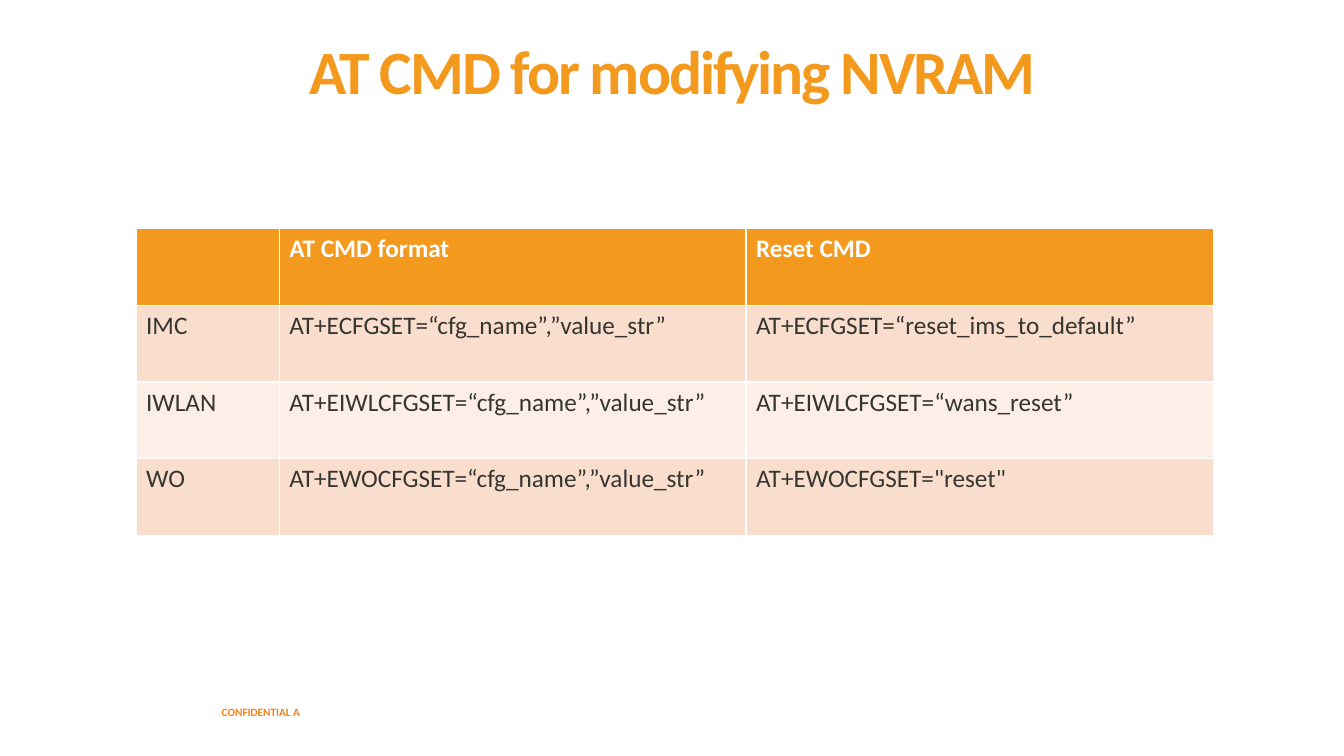
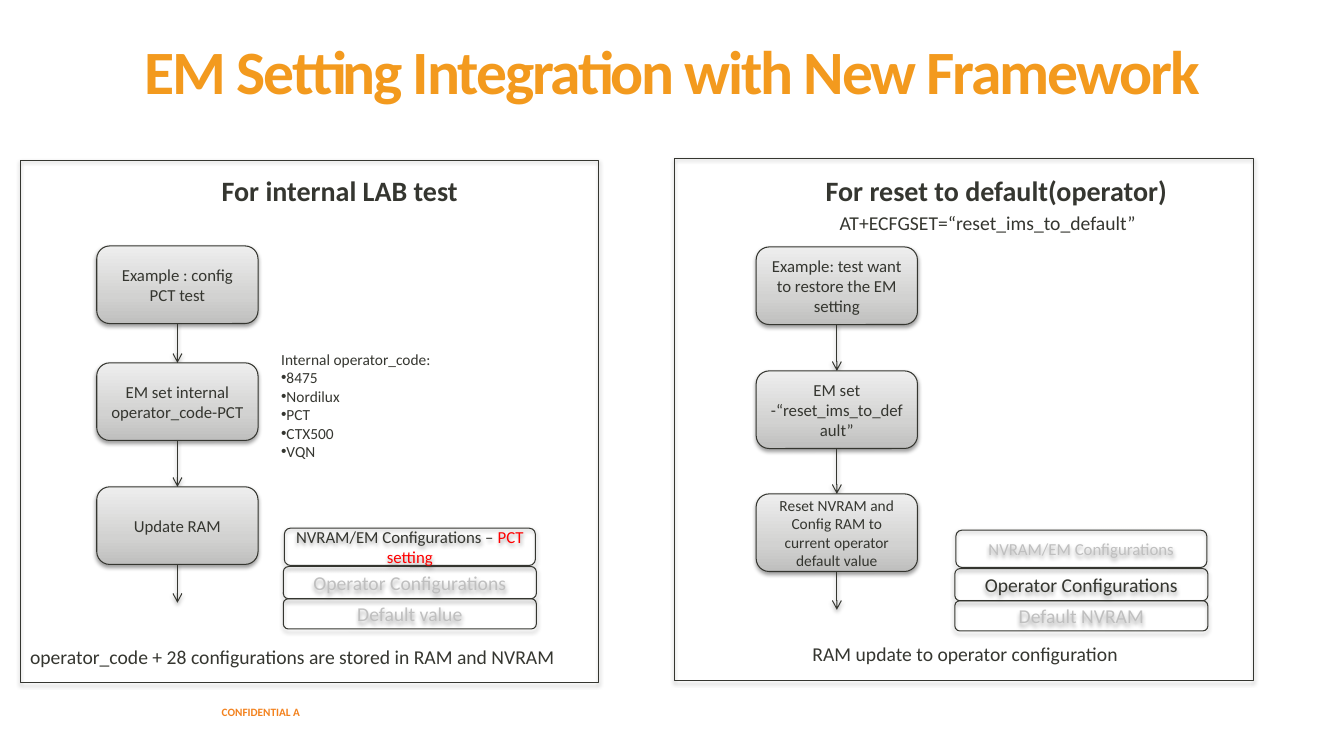
from dataclasses import dataclass

from lxml.etree import SubElement
from pptx import Presentation
from pptx.dml.color import RGBColor
from pptx.enum.shapes import MSO_CONNECTOR, MSO_SHAPE
from pptx.enum.text import MSO_ANCHOR, MSO_AUTO_SIZE, PP_ALIGN
from pptx.oxml.ns import qn
from pptx.util import Inches, Pt


@dataclass(frozen=True)
class Theme:
    font: str = "Calibri"
    title: str = "F39A1E"
    footer: str = "F3821E"
    ink: str = "353630"
    faded: str = "BFBFBF"
    alert: str = "FF0000"
    white: str = "FFFFFF"
    bands: tuple = ("FADECD", "FDEFE8")
    step_gradient: tuple = ((0, "BFBFBE"), (35, "D2D2D1"), (100, "EEEEEE"))
    title_size: int = 44
    heading_size: int = 20
    cell_size: int = 18
    note_size: int = 14
    step_size: int = 12
    small_size: int = 11
    footer_size: int = 8
    line_width: float = 0.75


THEME = Theme()
WIDTH, HEIGHT = 13.33, 7.5
STEP_WIDTH, STEP_HEIGHT = 1.6, 0.77
PANEL_SIZE = (5.74, 5.18)
LAST_ARROW = 0.38

FOOTER = "CONFIDENTIAL A"
TABLE_TITLE = "AT CMD for modifying NVRAM"
FLOW_TITLE = "EM Setting Integration with New Framework"

COLUMN_WIDTHS = (1.42, 4.63, 4.64)
ROW_HEIGHT = 0.76
COMMANDS = [
    ("", "AT CMD format", "Reset CMD"),
    ("IMC", "AT+ECFGSET=“cfg_name”,”value_str”", "AT+ECFGSET=“reset_ims_to_default”"),
    ("IWLAN", "AT+EIWLCFGSET=“cfg_name”,”value_str”", "AT+EIWLCFGSET=“wans_reset”"),
    ("WO", "AT+EWOCFGSET=“cfg_name”,”value_str”", 'AT+EWOCFGSET="reset"'),
]

# Layers: inset, offset from the top of the stack, height, text size
LAYERS = (
    (0.01, 0, 0.37, THEME.step_size),
    (0, 0.38, 0.32, THEME.note_size),
    (0, 0.7, 0.3, THEME.note_size),
)
LAYER_WIDTH = 2.51

PANELS = [
    {
        "corner": (0.2, 1.59),
        "heading": ("For internal LAB test", 2.1, 2.56),
        "steps_left": 0.96,
        "steps": [
            (2.44, ["Example : config PCT test"], THEME.step_size),
            (3.6, ["EM set internal operator_code-PCT"], THEME.step_size),
            (4.83, ["Update RAM"], THEME.step_size),
        ],
        "stack": (2.81, 5.24),
        "layers": ["NVRAM/EM Configurations – ", "Operator Configurations", "Default value"],
        "active": 0,
        "suffix": "PCT setting",
        "summary": ("operator_code + 28 configurations are stored in RAM and NVRAM", 0.2, 6.35, 5.46),
    },
    {
        "corner": (6.69, 1.57),
        "heading": ("For reset to default(operator)", 8.09, 3.62),
        "steps_left": 7.5,
        "steps": [
            (2.45, ["Example: test want to restore the EM setting"], THEME.step_size),
            (3.68, ["EM set -“reset_ims_to_default”"], THEME.step_size),
            (4.9, ["Reset NVRAM and", "Config RAM to current operator default value"], THEME.small_size),
        ],
        "stack": (9.47, 5.26),
        "layers": ["NVRAM/EM Configurations", "Operator Configurations", "Default NVRAM"],
        "active": 1,
        "suffix": "",
        "summary": ("RAM update to operator configuration", 7.96, 6.32, 3.27),
    },
]
RESET_COMMAND = "AT+ECFGSET=“reset_ims_to_default”"
CODES_HEADING = "Internal operator_code:"
CODES = ["8475", "Nordilux", "PCT", "CTX500", "VQN"]


def rgb(value):
    return RGBColor.from_string(value)


def style(span, size, color, bold=False):
    span.font.name = THEME.font
    span.font.size = Pt(size)
    span.font.bold = bold
    span.font.color.rgb = rgb(color)


def write(frame, lines, size, color=THEME.ink, bold=False, align=PP_ALIGN.LEFT):
    frame.text = "\n".join(lines)
    for para in frame.paragraphs:
        para.alignment = align
        for span in para.runs:
            style(span, size, color, bold)


def add_label(slide, area, lines, size, color=THEME.ink, bold=False, align=PP_ALIGN.LEFT, wrap=False):
    box = slide.shapes.add_textbox(*map(Inches, area))
    frame = box.text_frame
    frame.word_wrap = wrap
    frame.auto_size = MSO_AUTO_SIZE.NONE if wrap else MSO_AUTO_SIZE.SHAPE_TO_FIT_TEXT
    write(frame, lines, size, color, bold, align)
    return frame


def add_shadow(shape, opacity, distance):
    """Put a soft black shadow straight below a shape or connector."""
    effects = SubElement(shape._element.spPr, qn("a:effectLst"))
    shadow = SubElement(effects, qn("a:outerShdw"), blurRad=str(Pt(3.1)), dist=str(Pt(distance)),
                        dir="5400000", rotWithShape="0")
    black = SubElement(shadow, qn("a:srgbClr"), val="000000")
    SubElement(black, qn("a:alpha"), val=str(opacity * 1000))


def outline(shape):
    shape.line.color.rgb = rgb(THEME.ink)
    shape.line.width = Pt(THEME.line_width)


def add_frame(slide, preset, area):
    """Add an unfilled, outlined shape with a shadow."""
    shape = slide.shapes.add_shape(preset, *map(Inches, area))
    shape.fill.background()
    outline(shape)
    add_shadow(shape, 35, 1.8)
    return shape


def add_step(slide, left, top, lines, size):
    area = (left, top, STEP_WIDTH, STEP_HEIGHT)
    step = slide.shapes.add_shape(MSO_SHAPE.ROUNDED_RECTANGLE, *map(Inches, area))
    step.fill.gradient()
    step.fill.gradient_angle = 90
    stops = step._element.spPr.find(qn("a:gradFill")).find(qn("a:gsLst"))
    for stop in list(stops):
        stops.remove(stop)
    for position, color in THEME.step_gradient:
        stop = SubElement(stops, qn("a:gs"), pos=str(position * 1000))
        SubElement(stop, qn("a:srgbClr"), val=color)
    outline(step)
    add_shadow(step, 38, 1.6)
    write(step.text_frame, lines, size, align=PP_ALIGN.CENTER)


def add_down_arrow(slide, x, top, bottom):
    arrow = slide.shapes.add_connector(MSO_CONNECTOR.STRAIGHT, *map(Inches, (x, top, x, bottom)))
    outline(arrow)
    SubElement(arrow.line._get_or_add_ln(), qn("a:tailEnd"), type="arrow")
    add_shadow(arrow, 38, 1.6)


def add_flow(slide, left, steps):
    tops = [top for top, _, _ in steps]
    targets = tops[1:] + [tops[-1] + STEP_HEIGHT + LAST_ARROW]
    for (top, lines, size), target in zip(steps, targets):
        add_step(slide, left, top, lines, size)
        add_down_arrow(slide, left + STEP_WIDTH / 2, top + STEP_HEIGHT, target)


def add_stack(slide, panel):
    left, top = panel["stack"]
    for index, (text, layer) in enumerate(zip(panel["layers"], LAYERS)):
        inset, offset, height, size = layer
        area = (left + inset, top + offset, LAYER_WIDTH - 2 * inset, height)
        box = add_frame(slide, MSO_SHAPE.ROUNDED_RECTANGLE, area)
        active = index == panel["active"]
        write(box.text_frame, [text], size, THEME.ink if active else THEME.faded, align=PP_ALIGN.CENTER)
        if active and panel["suffix"]:
            span = box.text_frame.paragraphs[0].add_run()
            span.text = panel["suffix"]
            style(span, size, THEME.alert)


def add_panel(slide, panel):
    add_frame(slide, MSO_SHAPE.RECTANGLE, panel["corner"] + PANEL_SIZE)
    text, left, width = panel["heading"]
    add_label(slide, (left, 1.67, width, 0.44), [text], THEME.heading_size, bold=True)
    add_flow(slide, panel["steps_left"], panel["steps"])
    add_stack(slide, panel)
    text, left, top, width = panel["summary"]
    add_label(slide, (left, top, width, 0.34), [text], THEME.note_size)


def add_page(deck, title):
    """Add a blank slide with the shared title and footer."""
    slide = deck.slides.add_slide(deck.slide_layouts[6])
    footer = add_label(slide, (2.1, 6.86, 2.35, 0.4), [FOOTER], THEME.footer_size,
                       THEME.footer, bold=True, wrap=True)
    footer.vertical_anchor = MSO_ANCHOR.MIDDLE
    heading = add_label(slide, (0.67, 0.47, 12, 1.24), [title], THEME.title_size, THEME.title,
                        bold=True, align=PP_ALIGN.CENTER, wrap=True)
    heading.margin_top = 0
    para = heading.paragraphs[0]
    para.line_spacing = 0.8
    para.runs[0].font._element.set("spc", "-150")
    return slide


def add_command_table(slide):
    area = (1.35, 2.27, sum(COLUMN_WIDTHS), ROW_HEIGHT * len(COMMANDS))
    table = slide.shapes.add_table(len(COMMANDS), len(COLUMN_WIDTHS), *map(Inches, area)).table
    for column, width in zip(table.columns, COLUMN_WIDTHS):
        column.width = Inches(width)
    for index, texts in enumerate(COMMANDS):
        header = index == 0
        fill = THEME.title if header else THEME.bands[(index - 1) % 2]
        for cell, text in zip(table.rows[index].cells, texts):
            cell.fill.solid()
            cell.fill.fore_color.rgb = rgb(fill)
            write(cell.text_frame, [text], THEME.cell_size, THEME.white if header else THEME.ink, header)


def add_operator_codes(slide):
    frame = add_label(slide, (2.69, 3.42, 1.7, 1.21), [CODES_HEADING] + CODES, THEME.small_size)
    for para in frame.paragraphs[1:]:
        properties = para._p.get_or_add_pPr()
        SubElement(properties, qn("a:buFont"), typeface="Arial")
        SubElement(properties, qn("a:buChar"), char="•")


def main():
    deck = Presentation()
    deck.slide_width, deck.slide_height = Inches(WIDTH), Inches(HEIGHT)

    add_command_table(add_page(deck, TABLE_TITLE))

    flow_page = add_page(deck, FLOW_TITLE)
    for panel in PANELS:
        add_panel(flow_page, panel)
    add_operator_codes(flow_page)
    add_label(flow_page, (8.23, 2.04, 3.46, 0.34), [RESET_COMMAND], THEME.note_size, wrap=True)

    deck.save("out.pptx")


if __name__ == "__main__":
    main()
